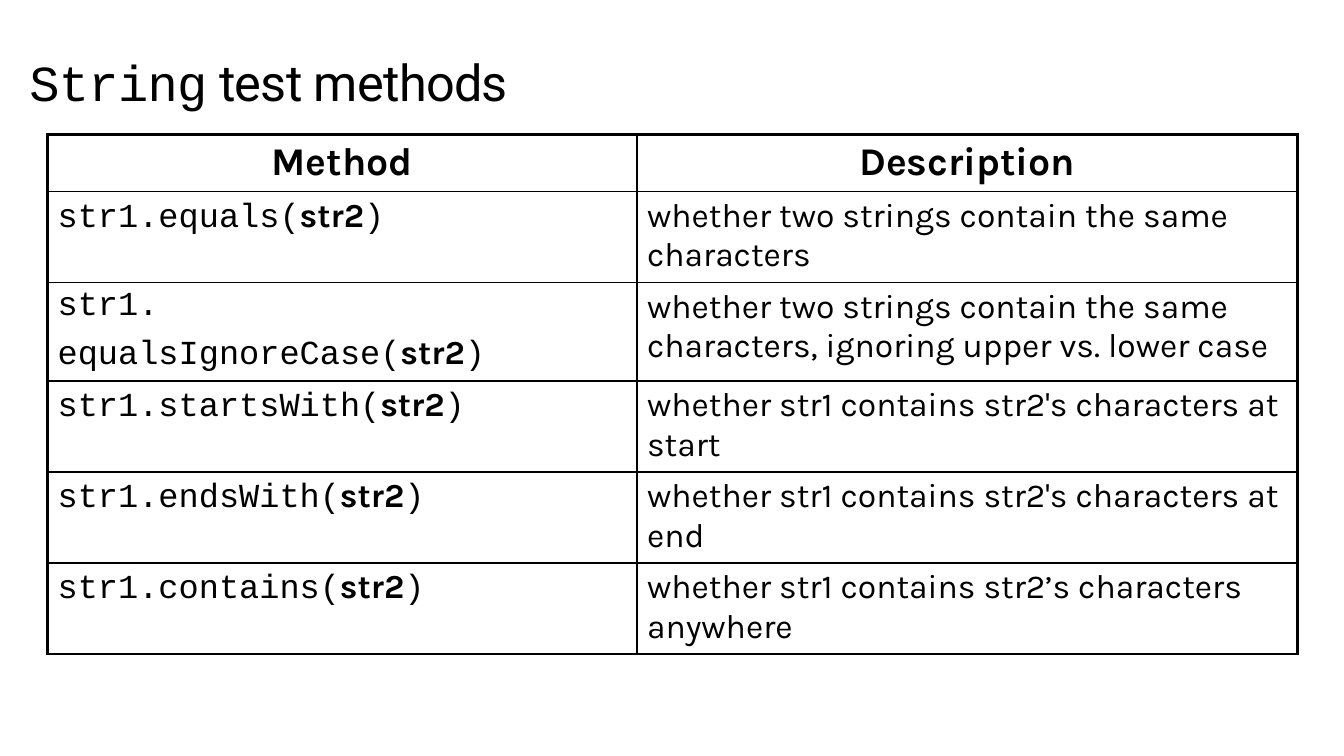
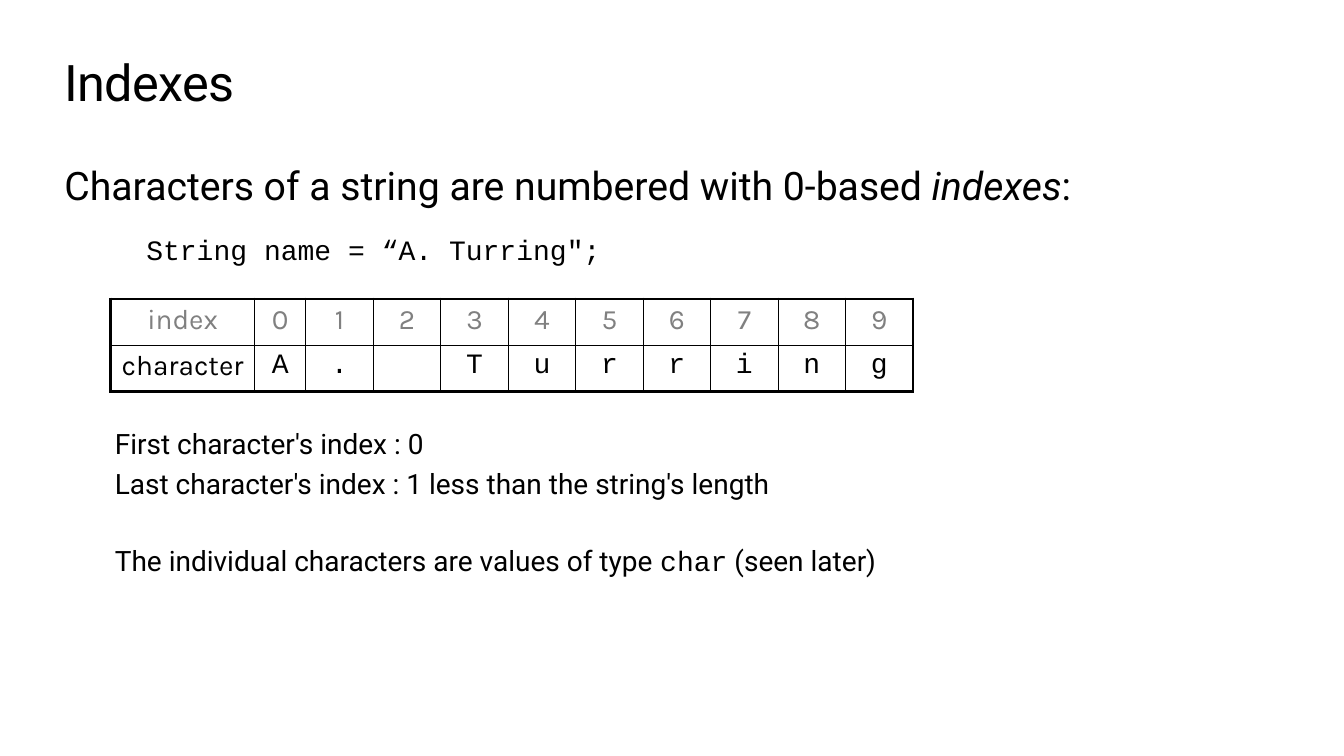
"""Build two slides on string test methods and character indexes."""
from dataclasses import dataclass

from lxml.etree import SubElement
from pptx import Presentation
from pptx.dml.color import RGBColor
from pptx.enum.text import MSO_ANCHOR as Anchor, PP_ALIGN as Align
from pptx.oxml.ns import qn
from pptx.util import Pt


@dataclass(frozen=True)
class Theme:
    ink: str = "000000"
    muted: str = "808080"
    title: int = 36
    heading: int = 28
    cell: int = 24
    body: int = 20
    thick: float = 2.25
    thin: float = 1


@dataclass(frozen=True)
class Style:
    font: str
    bold: bool = False
    italic: bool = False


theme = Theme()
plain = Style("Roboto")
emphasis = Style("Roboto", italic=True)
code = Style("Courier New")
label = Style("Karla")
strong = Style("Karla", bold=True)


def write(text_frame, paragraphs, size, color=theme.ink, align=Align.LEFT, gap=0, tracking=0):
    """Fill a text frame; each paragraph is a list of (text, style) runs."""
    for number, runs in enumerate(paragraphs):
        paragraph = text_frame.add_paragraph() if number else text_frame.paragraphs[0]
        paragraph.alignment = align
        paragraph.space_before = Pt(gap if number else 0)
        for text, style in runs:
            run = paragraph.add_run()
            run.text = text
            font = run.font
            font.name, font.size = style.font, Pt(size)
            font.bold, font.italic = style.bold, style.italic
            font.color.rgb = RGBColor.from_string(color)
            if tracking:
                run._r.get_or_add_rPr().set("spc", str(round(tracking * 100)))


def add_grid(slide, left, top, widths, heights):
    """Add an unfilled table with a thick frame and thin inner lines."""
    rows, columns = len(heights), len(widths)
    table = slide.shapes.add_table(
        rows, columns, Pt(left), Pt(top), Pt(sum(widths)), Pt(sum(heights))
    ).table
    table.first_row = table.horz_banding = False
    for column, width in zip(table.columns, widths):
        column.width = Pt(width)
    for row, height in zip(table.rows, heights):
        row.height = Pt(height)
    for r in range(rows):
        for c in range(columns):
            cell = table.cell(r, c)
            outer_edges = {"L": c == 0, "R": c == columns - 1, "T": r == 0, "B": r == rows - 1}
            for side, outer in outer_edges.items():
                width = Pt(theme.thick if outer else theme.thin)
                line = SubElement(cell._tc.get_or_add_tcPr(), qn(f"a:ln{side}"), w=str(width))
                SubElement(SubElement(line, qn("a:solidFill")), qn("a:srgbClr"), val=theme.ink)
            cell.fill.background()
    return table


presentation = Presentation()
presentation.slide_width, presentation.slide_height = Pt(960), Pt(540)
blank = presentation.slide_layouts[6]
methods_slide, indexes_slide = (presentation.slides.add_slide(blank) for _ in range(2))

titles = [
    (methods_slide, 21, [("String", code), (" test methods", plain)]),
    (indexes_slide, 46, [("Indexes", plain)]),
]
for slide, left, runs in titles:
    text_frame = slide.shapes.add_textbox(Pt(left), Pt(32), Pt(914 - left), Pt(48)).text_frame
    text_frame.word_wrap = True
    text_frame.vertical_anchor = Anchor.BOTTOM
    text_frame.margin_left = text_frame.margin_right = text_frame.margin_bottom = 0
    write(text_frame, [runs], theme.title, tracking=-0.5)

methods = [
    (["str1.equals("], "whether two strings contain the same characters"),
    (["str1.", "equalsIgnoreCase("],
     "whether two strings contain the same characters, ignoring upper vs. lower case"),
    (["str1.startsWith("], "whether str1 contains str2's characters at start"),
    (["str1.endsWith("], "whether str1 contains str2's characters at end"),
    (["str1.contains("], "whether str1 contains str2’s characters anywhere"),
]
methods_table = add_grid(methods_slide, 34, 96, [421, 472], [40.5, 65, 69.5, 65, 65, 65])
for column, heading in enumerate(["Method", "Description"]):
    write(methods_table.cell(0, column).text_frame, [[(heading, strong)]],
          theme.heading, align=Align.CENTER)
for row, (call_lines, description) in enumerate(methods, start=1):
    call = [[(line, code)] for line in call_lines]
    call[-1] += [("str2", strong), (")", code)]
    write(methods_table.cell(row, 0).text_frame, call, theme.cell, gap=5.5)
    write(methods_table.cell(row, 1).text_frame, [[(description, label)]], theme.cell)

passages = [
    (46, 115, 34, theme.heading, [
        [("Characters of a string are numbered with 0-based ", plain),
         ("indexes", emphasis), (":", plain)],
    ]),
    (104.5, 166, 24, theme.body, [[("String name = “A. Turring\";", code)]]),
    (82, 304.5, 52, theme.body, [
        [("First character's index : 0", plain)],
        [("Last character's index : 1 less than the string's length", plain)],
    ]),
    (82, 388.5, 24, theme.body, [
        [("The individual characters are values of type ", plain),
         ("char", code), (" (seen later)", plain)],
    ]),
]
for left, top, height, size, paragraphs in passages:
    text_frame = indexes_slide.shapes.add_textbox(
        Pt(left), Pt(top), Pt(914 - left), Pt(height)
    ).text_frame
    text_frame.word_wrap = True
    text_frame.margin_left = text_frame.margin_right = 0
    text_frame.margin_top = text_frame.margin_bottom = 0
    write(text_frame, paragraphs, size, gap=4.7)

name = "A. Turring"
index_table = add_grid(indexes_slide, 79, 213.5, [103, 36.5] + [48.2] * 9, [33, 33])
index_columns = [("index", "character", label)]
index_columns += [(str(index), character, code) for index, character in enumerate(name)]
for column, (index, character, style) in enumerate(index_columns):
    write(index_table.cell(0, column).text_frame, [[(index, label)]],
          theme.body, theme.muted, Align.CENTER)
    if character.strip():
        write(index_table.cell(1, column).text_frame, [[(character, style)]],
              theme.body, align=Align.CENTER)

presentation.save("out.pptx")
